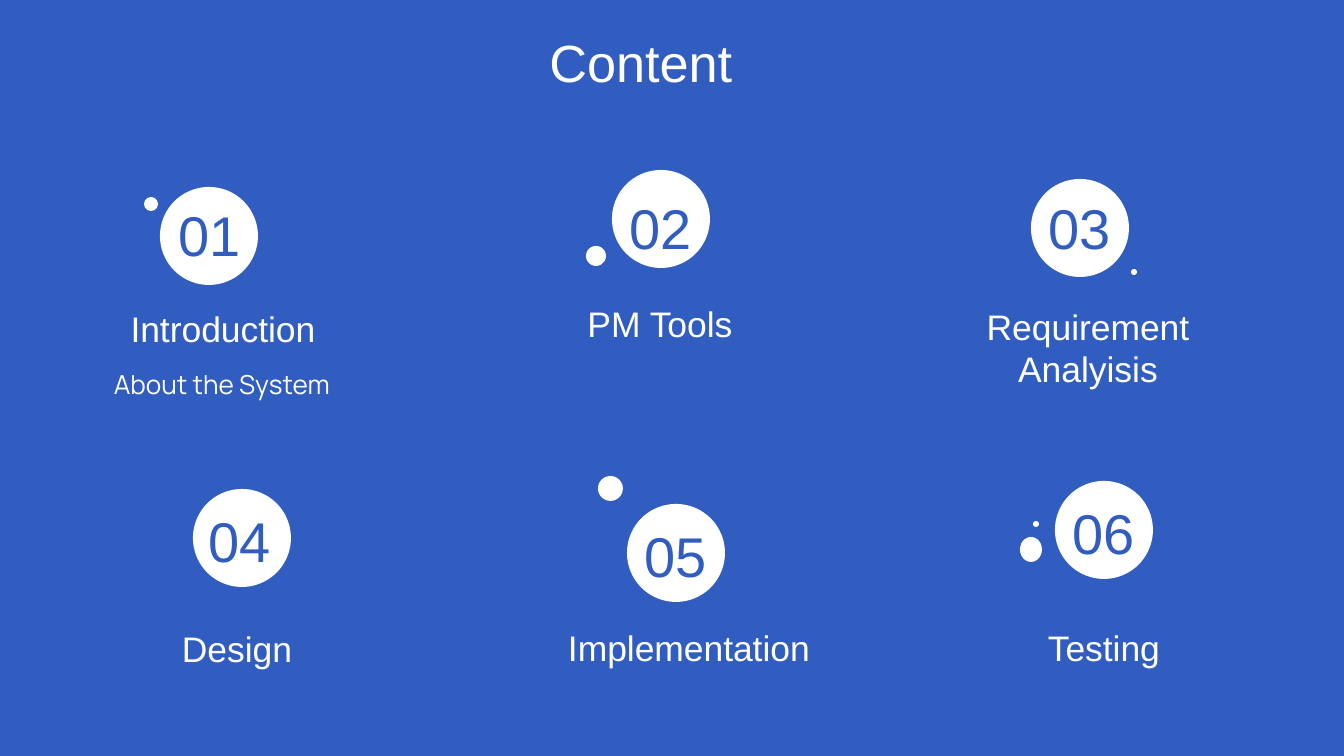
from pptx import Presentation
from pptx.dml.color import RGBColor as Rgb
from pptx.enum.shapes import MSO_SHAPE as Shape
from pptx.enum.text import MSO_ANCHOR as Anchor, PP_ALIGN as Align
from pptx.util import Emu, Pt

SCALE = 914400 / 134.4
WHITE, BLUE = "FFFFFF", "305DBF"
DISC = 98  # diameter of a number disc
PAD = 13

# number, disc (x, y), digit shift (x, y), label, label box (x, y, width)
ITEMS = [
    ("01", (160, 187), (1, -4), "Introduction", (59, 294, 328)),
    ("02", (612, 170), (0, 6), "PM Tools", (482, 289, 356)),
    ("03", (1031, 179), (0, -3), "Requirement Analyisis", (910, 292, 356)),
    ("04", (193, 489), (-2, 0), "Design", (59, 614, 356)),
    ("05", (627, 504), (0, 0), "Implementation", (511, 613, 356)),
    ("06", (1055, 481), (0, 0), "Testing", (926, 613, 356)),
]

# x, y, width, height
DOTS = [
    (144, 197, 14, 14),
    (586, 246, 20, 20),
    (1131, 269, 6, 6),
    (598, 476, 25, 25),
    (1033, 521, 6, 6),
    (1020, 537, 22, 25),
]


def px(n):
    return Emu(round(n * SCALE))


def color(code):
    return Rgb.from_string(code)


def add_disc(slide, x, y, w, h):
    disc = slide.shapes.add_shape(Shape.OVAL, px(x), px(y), px(w), px(h))
    disc.shadow.inherit = False
    disc.fill.solid()
    disc.fill.fore_color.rgb = color(WHITE)
    disc.line.fill.background()


def add_text(slide, text, x, y, w, h, size, tint=WHITE, font="Arial", anchor=Anchor.TOP):
    frame = slide.shapes.add_textbox(px(x), px(y), px(w), px(h)).text_frame
    frame.word_wrap = True
    frame.vertical_anchor = anchor
    frame.margin_left = frame.margin_right = px(PAD)
    frame.margin_top = frame.margin_bottom = px(PAD)
    frame.text = text
    line = frame.paragraphs[0]
    line.alignment = Align.CENTER
    style = line.runs[0].font
    style.name, style.size = font, Pt(size)
    style.color.rgb = color(tint)


def add_item(slide, number, disc, shift, label, place):
    x, y = disc
    add_disc(slide, x, y, DISC, DISC)
    add_text(slide, number, x + shift[0], y + shift[1], DISC, DISC, 30,
             BLUE, anchor=Anchor.BOTTOM)
    left, top, width = place
    add_text(slide, label, left, top, width, 62, 19)


def main():
    deck = Presentation()
    deck.slide_width, deck.slide_height = px(1344), px(756)
    slide = deck.slides.add_slide(deck.slide_layouts[6])
    slide.background.fill.solid()
    slide.background.fill.fore_color.rgb = color(BLUE)

    # Heading
    add_text(slide, "Content ", 22, 17, 1252, 85, 28)

    # Numbered topics
    for item in ITEMS:
        add_item(slide, *item)
    add_text(slide, "About the System", 44, 355, 356, 98, 14, font="Manrope")

    # Small dots around the discs
    for dot in DOTS:
        add_disc(slide, *dot)

    deck.save("out.pptx")


if __name__ == "__main__":
    main()
